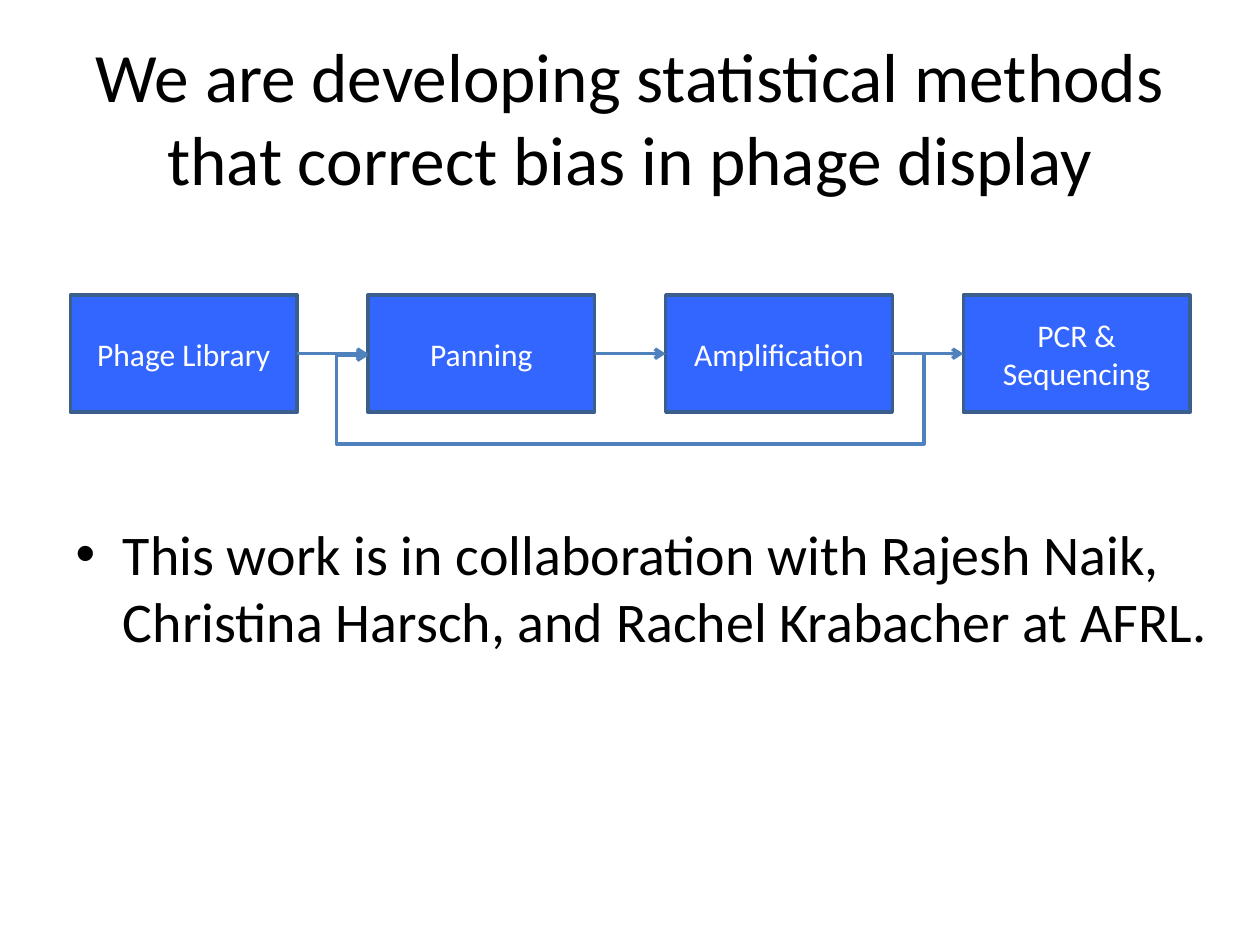
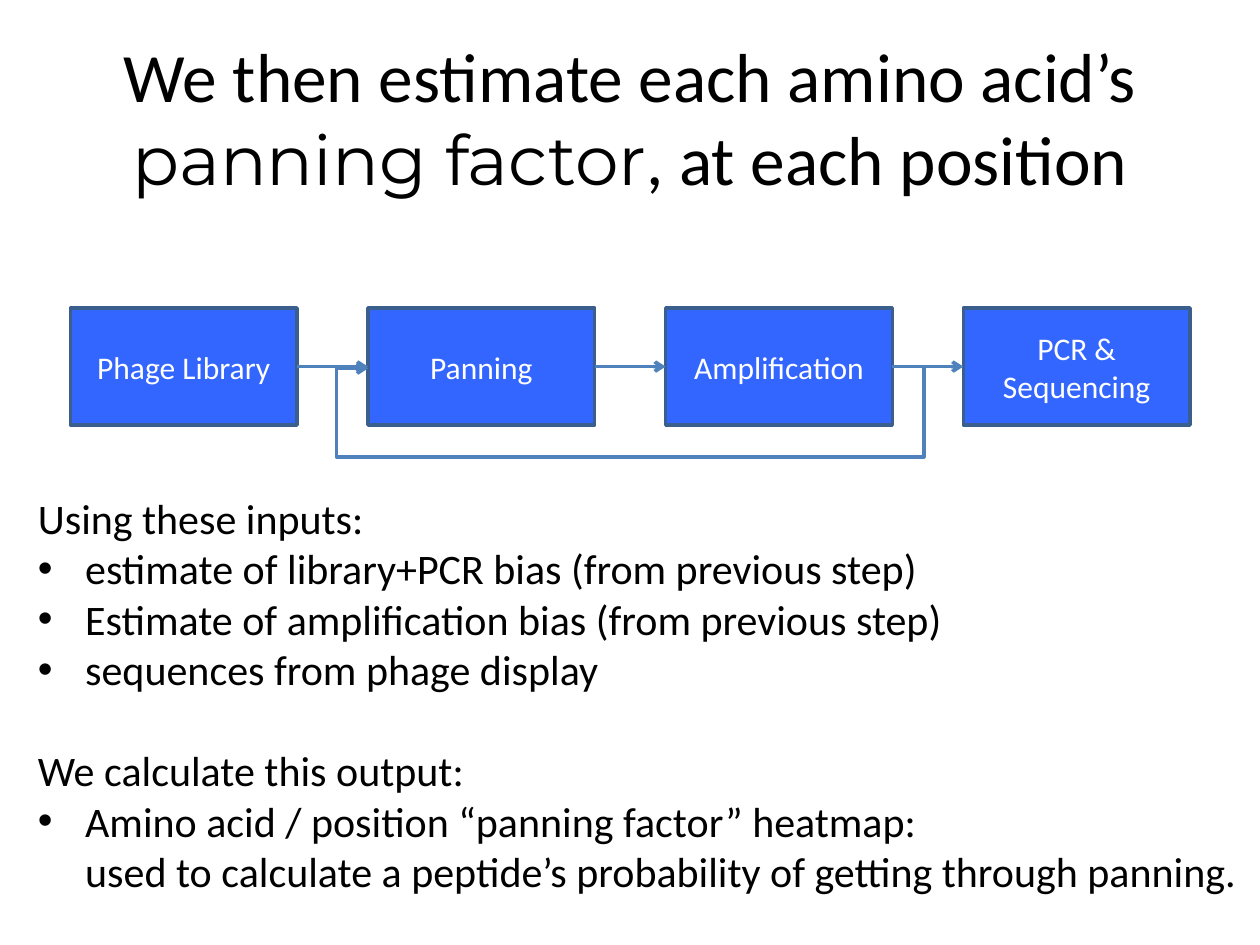
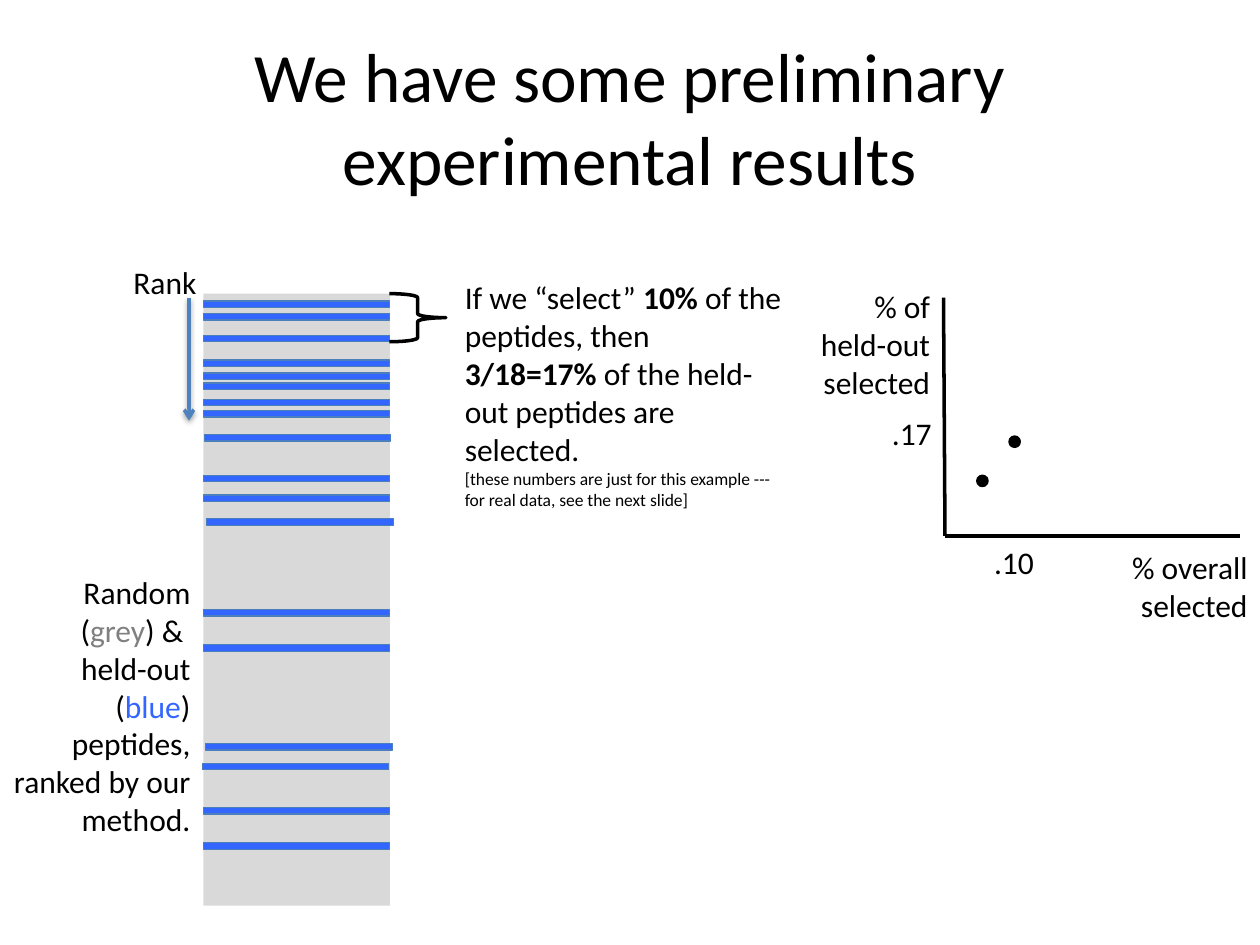
import pptx
import pptx.util
import pptx.dml.color
import pptx.enum.shapes
import pptx.enum.text
import pptx.oxml
import pptx.oxml.ns

Cm, Pt = pptx.util.Cm, pptx.util.Pt
rgb = pptx.dml.color.RGBColor.from_string
SHAPE = pptx.enum.shapes.MSO_SHAPE
CONNECTOR = pptx.enum.shapes.MSO_CONNECTOR
ALIGN = pptx.enum.text.PP_ALIGN
AUTO = pptx.enum.text.MSO_AUTO_SIZE

FONT = "Calibri"
BLACK, WHITE, GREY, PALE = "000000", "FFFFFF", "808080", "D9D9D9"
BLUE, BOX_EDGE, BAR_EDGE, ARROW = "3366FF", "3A5F8C", "4B7EBC", "4F81BD"
NS = pptx.oxml.ns.nsdecls("a")


def write(p, texts, size=18, color=BLACK):
    """Fill a paragraph with one run per text; "\\v" is a line break."""
    for text in texts:
        if text == "\v":
            p.add_line_break()
            continue
        r = p.add_run()
        r.text = text
        r.font.name, r.font.size = FONT, Pt(size)
        r.font.color.rgb = rgb(color)


def draw_line(s, kind, ends, color, arrow=True, effect=""):
    """Draw a 2 pt connector between two points given in centimetres."""
    c = s.shapes.add_connector(kind, *[Cm(v) for v in ends])
    c.line.color.rgb = rgb(color)
    c.line.width = Pt(2)
    if arrow:
        c.line._get_or_add_ln().append(
            pptx.oxml.parse_xml(f'<a:tailEnd {NS} type="arrow"/>'))
    c._element.spPr.append(
        pptx.oxml.parse_xml(f"<a:effectLst {NS}>{effect}</a:effectLst>"))
    return c


prs = pptx.Presentation()
prs.slide_width, prs.slide_height = Cm(25.4), Cm(19.05)

# Slides and titles
titles = [
    (1, ["We are developing statistical methods that correct bias in phage display"]),
    (1, ["We then estimate each amino acid’s ", "panning factor", ", at each position"]),
    (5, ["We have some preliminary experimental results"]),
]
for layout, texts in titles:
    s = prs.slides.add_slide(prs.slide_layouts[layout])
    sp = s.shapes.title
    sp.left, sp.top, sp.width, sp.height = Cm(1.27), Cm(0.76), Cm(22.86), Cm(3.18)
    sp.text_frame.auto_size = AUTO.NONE
    write(sp.text_frame.paragraphs[0], texts, 39.6)
intro, factor, results = prs.slides
factor.shapes.title.text_frame.paragraphs[0].runs[1].font.name = "Montserrat"

# Process flow with feedback loop, on the first two slides
steps = ["Phage Library", "Panning", "Amplification", "PCR & Sequencing"]
left, box_w, box_h, pitch = 1.42, 4.57, 2.36, 6
drop, rise, reach = 1.82, 0.04, 0.63
for s, top in [(intro, 5.95), (factor, 6.21)]:
    mid = top + box_h / 2
    for i, step in enumerate(steps):
        x = left + i * pitch
        sp = s.shapes.add_shape(SHAPE.RECTANGLE, Cm(x), Cm(top), Cm(box_w), Cm(box_h))
        sp.shadow.inherit = False
        sp.fill.solid()
        sp.fill.fore_color.rgb = rgb(BLUE)
        sp.line.color.rgb = rgb(BOX_EDGE)
        sp.line.width = Pt(2)
        write(sp.text_frame.paragraphs[0], [step], color=WHITE)
    for i in range(len(steps) - 1):
        x = left + i * pitch + box_w
        draw_line(s, CONNECTOR.STRAIGHT, (x, mid, left + (i + 1) * pitch, mid), ARROW)
    # From the right of Amplification, under the boxes, to the left of Panning
    start, end = left + 2 * pitch + box_w, left + pitch
    c = draw_line(s, CONNECTOR.ELBOW, (start, mid, end, mid + rise), ARROW)
    geom = c._element.spPr.find(pptx.oxml.ns.qn("a:prstGeom"))
    geom.set("prst", "bentConnector5")
    side = reach / (start - end)
    guides = "".join(
        f'<a:gd name="adj{n}" fmla="val {round(share * 100000)}"/>'
        for n, share in enumerate([-side, drop / rise, 1 + side], 1))
    for old in list(geom):
        geom.remove(old)
    geom.append(pptx.oxml.parse_xml(f"<a:avLst {NS}>{guides}</a:avLst>"))

# Slide 1: collaborators
sp = intro.placeholders[1]
sp.left, sp.top, sp.width, sp.height = Cm(1.27), Cm(10.34), Cm(23.37), Cm(6.35)
sp.text_frame.auto_size = AUTO.NONE
write(sp.text_frame.paragraphs[0],
      ["This work is in collaboration with Rajesh Naik, Christina Harsch, "
       "and Rachel Krabacher at AFRL."], 32)

# Slide 2: inputs and output
sp = factor.placeholders[1]
sp.left, sp.top, sp.width, sp.height = Cm(0.51), Cm(9.8), Cm(24.89), Cm(8.46)
tf = sp.text_frame
tf.auto_size = AUTO.NONE
items = [
    (False, ["Using these inputs:"]),
    (True, ["estimate of library+PCR bias (from previous step)"]),
    (True, ["Estimate of amplification bias (from previous step)"]),
    (True, ["sequences from phage display"]),
    (False, ["We calculate this output:"]),
    (True, ["Amino acid / position “panning factor” heatmap: ", "\v",
            "used to calculate a peptide’s probability of getting through panning."]),
]
for i, (bullet, texts) in enumerate(items):
    p = tf.add_paragraph() if i else tf.paragraphs[0]
    write(p, texts, 24)
    p.space_before = Pt(0)
    if not bullet:
        p.space_before = Pt(29 if i else 0)
        pPr = p._p.get_or_add_pPr()
        pPr.set("marL", "0")
        pPr.set("indent", "0")
        pPr.append(pptx.oxml.parse_xml(f"<a:buNone {NS}/>"))

# Slide 3: ranked column with held-out bars
s = results
column_x, column_w, bar_h = 4.1, 3.76, 0.13
bar_tops = [6.07, 6.32, 6.76, 7.26, 7.52, 7.72, 8.05, 8.28, 8.76,
            9.58, 9.98, 10.46, 12.29, 13, 14.99, 15.39, 16.28, 16.99]
nudges = {8.76: 0.02, 10.46: 0.07, 14.99: 0.05, 15.39: -0.02}
dot = 0.23
marks = [(SHAPE.RECTANGLE, column_x, 5.92, column_w, 12.34, PALE, None, 0)]
marks += [(SHAPE.RECTANGLE, column_x + nudges.get(y, 0), y, column_w, bar_h,
           BLUE, BAR_EDGE, 0.75) for y in bar_tops]
marks += [(SHAPE.RIGHT_BRACE, 7.85, 5.92, 1.14, 0.97, None, BLACK, 2)]
marks += [(SHAPE.OVAL, x, y, dot, dot, BLACK, BLACK, 0.75)
          for x, y in [(19.69, 9.58), (20.34, 8.79)]]
for kind, x, y, w, h, fill, edge, weight in marks:
    sp = s.shapes.add_shape(kind, Cm(x), Cm(y), Cm(w), Cm(h))
    sp.shadow.inherit = False
    if fill:
        sp.fill.solid()
        sp.fill.fore_color.rgb = rgb(fill)
    else:
        sp.fill.background()
    if edge:
        sp.line.color.rgb = rgb(edge)
        sp.line.width = Pt(weight)
    else:
        sp.line.fill.background()

# Rank arrow and plot axes
shadow = ('<a:outerShdw blurRad="40000" dist="20000" dir="5400000" rotWithShape="0">'
          '<a:srgbClr val="000000"><a:alpha val="38000"/></a:srgbClr></a:outerShdw>')
draw_line(s, CONNECTOR.STRAIGHT, (3.81, 6, 3.81, 8.48), ARROW, effect=shadow)
draw_line(s, CONNECTOR.STRAIGHT, (19.02, 6, 19.05, 10.8), BLACK, arrow=False)
draw_line(s, CONNECTOR.STRAIGHT, (25, 10.8, 19.05, 10.8), BLACK, arrow=False)

# Labels: place, wrap, alignment, runs
labels = [
    (9.12, 5.49, 6.98, 4.95, True, ALIGN.LEFT,
     ["If we “select” ", "10%", " of the peptides, then ", "3/18=17% ",
      "of the held-out peptides are selected."]),
    (0, 11.43, 4.09, 5.64, True, ALIGN.RIGHT,
     ["Random (", "grey", ") & ", "\v", "held-out (", "blue",
      ") peptides, ranked by our method."]),
    (2.44, 5.18, 1.8, 1.02, False, ALIGN.LEFT, ["Rank"]),
    (19.79, 10.82, 1.32, 1.02, False, ALIGN.LEFT, [".10"]),
    (17.73, 8.23, 1.32, 1.02, False, ALIGN.LEFT, [".17"]),
    (16, 5.66, 3, 2.57, True, ALIGN.RIGHT, ["% of held-out selected"]),
    (21.77, 10.92, 3.63, 1.8, True, ALIGN.RIGHT, ["% overall selected"]),
]
for x, y, w, h, wrap, align, texts in labels:
    tf = s.shapes.add_textbox(Cm(x), Cm(y), Cm(w), Cm(h)).text_frame
    tf.word_wrap = wrap
    tf.auto_size = AUTO.SHAPE_TO_FIT_TEXT
    p = tf.paragraphs[0]
    p.alignment = align
    write(p, texts)
    for r in p.runs:
        r.font.bold = "%" in r.text and r.text[0].isdigit()
        if r.text in ("grey", "blue"):
            r.font.color.rgb = rgb({"grey": GREY, "blue": BLUE}[r.text])
    if texts[0].startswith("If we"):
        write(tf.add_paragraph(),
              ["[these numbers are just for this example --- "
               "for real data, see the next slide]"], 10)

prs.save("out.pptx")
